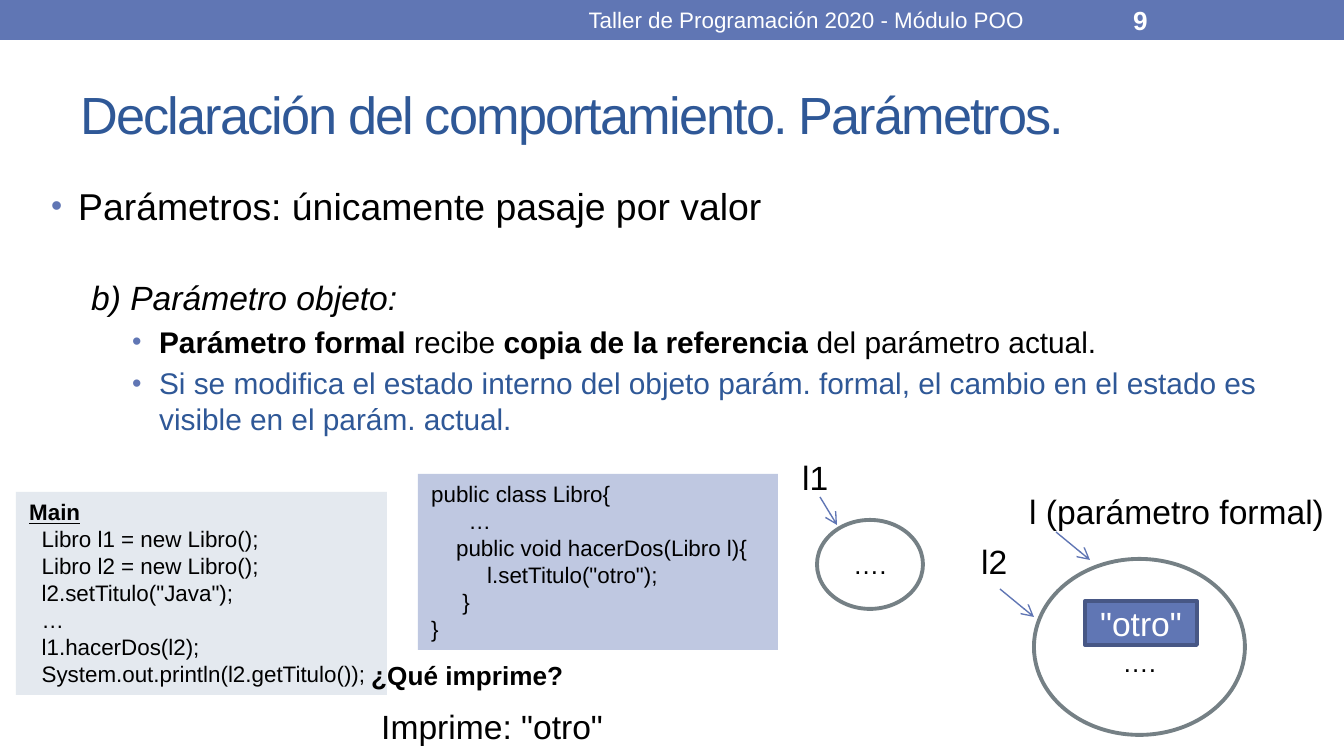
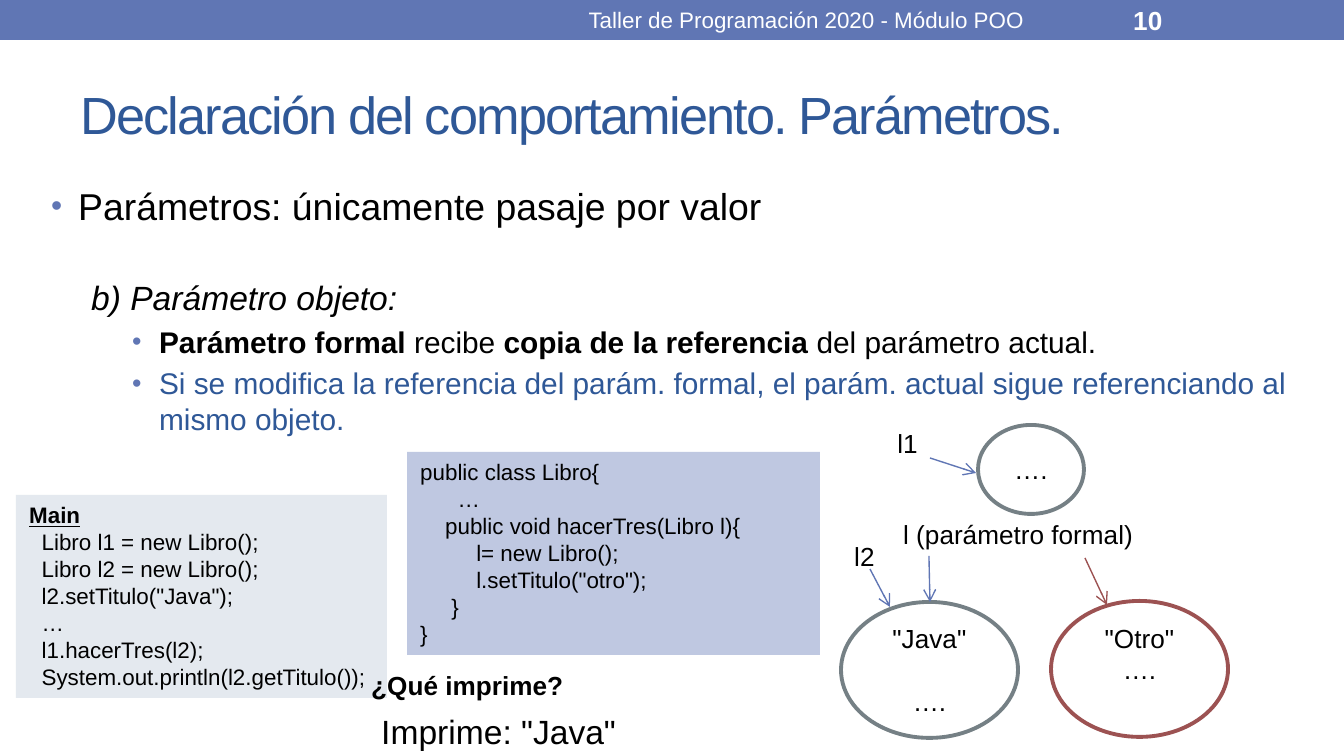
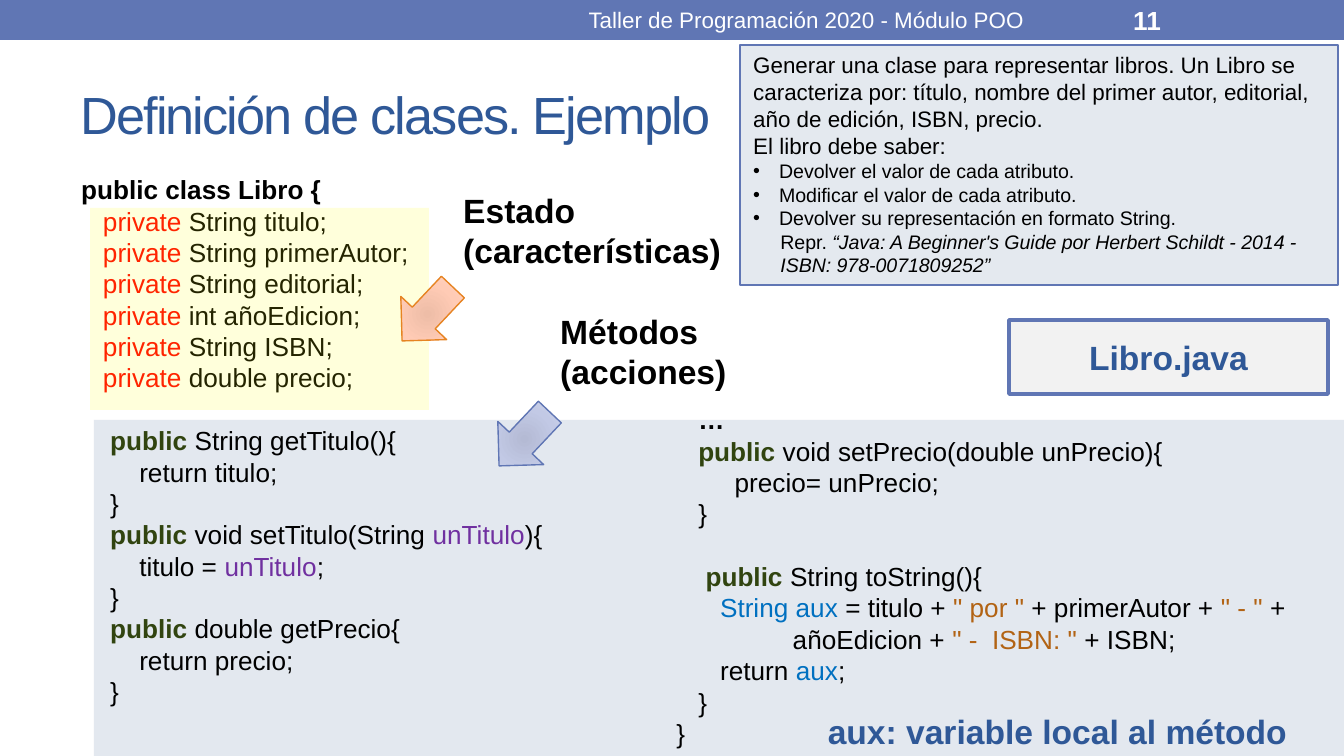
from dataclasses import dataclass
from lxml.etree import SubElement
from pptx import Presentation
from pptx.dml.color import RGBColor
from pptx.enum.shapes import MSO_CONNECTOR, MSO_SHAPE
from pptx.enum.text import MSO_ANCHOR, MSO_AUTO_SIZE, PP_ALIGN
from pptx.oxml import parse_xml
from pptx.oxml.ns import nsdecls, qn
from pptx.util import Pt


@dataclass(frozen=True)
class Theme:
    font: str = "Arial"
    blue: str = "6076B4"
    navy: str = "2F5897"
    edge: str = "475785"
    black: str = "000000"
    white: str = "FFFFFF"
    pale: str = "E4E9EF"
    sky: str = "BFC8E1"
    steel: str = "9BADC4"
    gray: str = "758085"
    wine: str = "9C5252"
    light: str = "F2F2F2"
    yellow: str = "FFFF00"
    orange: str = "E68422"
    red: str = "FF0000"
    green: str = "314410"
    purple: str = "7030A0"
    aqua: str = "0070C0"
    brown: str = "B26314"
    title: float = 28
    lead: float = 20
    big: float = 18
    mid: float = 16
    text: float = 14
    small: float = 12
    note: float = 10.5
    thick: float = 2.08
    thin: float = 0.75


T = Theme()
SCALE = 914400 / 134.4
SPACE = 0.278
LINE = 1.2
ROW = 31
LEFT, MID = PP_ALIGN.LEFT, PP_ALIGN.CENTER


def px(num):
    return round(num * SCALE)


def par(*bits, **opts):
    return bits, opts


def code(rows):
    return [par(text, deep=deep) for deep, text in rows]


def main(call):
    rows = [(2, text) for text in (
        "Libro l1 = new Libro();", "Libro l2 = new Libro();",
        'l2.setTitulo("Java");', "…", f"l1.{call}(l2);",
        "System.out.println(l2.getTitulo());")]
    return [par(("Main", "bu"))] + code(rows)


def method(call, *body):
    return code([(0, "public class Libro{"), (6, "…"),
                 (4, f"public void {call}(Libro l){{"),
                 *((9, text) for text in body), (5, "}"), (0, "}")])


def points(last):
    item = dict(size=T.mid, left=108, hang=27, dot=90, gap=3.2)
    return [
        par("Parámetros: únicamente pasaje por valor",
            size=T.lead, left=27, hang=27, dot=85),
        par(("b) Parámetro objeto:", "i"), size=T.big, left=40, gap=26),
        par(("Parámetro formal ", "b"), "recibe ",
            ("copia de la referencia ", "b"), "del parámetro actual.", **item),
        par((last, "", T.navy), **item)]


FOOT = "Taller de Programación 2020 - Módulo POO"
DOTS = par("….")

TOPICS = [
    dict(
        page="9", width=1322,
        last="Si se modifica el estado interno del objeto parám. formal, "
             "el cambio en el estado es visible en el parám. actual.",
        main=((16, 492, 371, 203), main("hacerDos")),
        method=((418, 474, 360, 176),
                method("hacerDos", 'l.setTitulo("otro");')),
        rings=[((1034, 559, 211, 176), T.gray, [DOTS], ROW, 0),
               ((817, 520, 106, 89), T.gray, [DOTS], 0, 0)],
        tags=[((968, 534, 63, 54), "l2 "),
              ((1016, 484, 335, 54), "l (parámetro formal)"),
              ((789, 450, 63, 54), "l1 ")],
        size=T.big,
        lines=[(1000, 589, 1034, 617, T.blue),
               (1056, 532, 1090, 560, T.blue),
               (820, 497, 837, 525, T.blue)],
        value=((1085, 601, 112, 44), '"otro"'),
        ask=653, reply=(699, 'Imprime: "otro"')),
    dict(
        page="10", width=1306,
        last="Si se modifica la referencia del parám. formal, el parám. "
             "actual sigue referenciando al mismo objeto.",
        main=((16, 495, 371, 203), main("hacerTres")),
        method=((407, 452, 413, 203),
                method("hacerTres", "l= new Libro();", 'l.setTitulo("otro");')),
        rings=[((841, 602, 177, 136), T.gray,
                [par('"Java"'), par("….", gap=T.text * LINE)], 0, 0),
               ((1051, 601, 177, 136), T.wine, [par('"Otro"'), DOTS], 0, ROW),
               ((978, 425, 106, 89), T.gray, [DOTS], 0, 0)],
        tags=[((841, 534, 55, 46), "l2 "),
              ((890, 512, 258, 46), "l (parámetro formal)"),
              ((884, 421, 55, 46), "l1 ")],
        size=T.text,
        lines=[(870, 569, 890, 607, T.blue), (929, 556, 930, 602, T.blue),
               (1085, 558, 1107, 605, T.wine), (930, 458, 976, 473, T.blue)],
        value=None,
        ask=663, reply=(704, 'Imprime: "Java"')),
]

FIELDS = ["String titulo;", "String primerAutor;", "String editorial;",
          "int añoEdicion;", "String ISBN;", "double precio;"]
PUBLIC = ("public ", "b", T.green)
PARAM = ("unTitulo", "", T.purple)
CLOSE = par("}", deep=4)

STATE = [par(("public class Libro {", "b"))]
STATE += [par(("private ", "", T.red), text, deep=3) for text in FIELDS]
STATE += [
    par(PUBLIC, "String getTitulo(){", deep=4, gap=T.text * LINE),
    par("return titulo;", deep=8), CLOSE,
    par(PUBLIC, "void setTitulo(String ", PARAM, "){", deep=4),
    par("titulo = ", PARAM, ";", deep=8), CLOSE,
    par(PUBLIC, "double getPrecio{", deep=4),
    par("return precio;", deep=8), CLOSE]
MORE = [
    par(("…", "b"), deep=4),
    par(PUBLIC, "void setPrecio(double unPrecio){", deep=4),
    par("precio= unPrecio;", deep=9), CLOSE,
    par(PUBLIC, "String toString(){", deep=5, gap=T.text * LINE),
    par(("String aux", "", T.aqua), " = titulo + ", ('" por " ', "", T.brown),
        "+ primerAutor + ", ('" - " ', "", T.brown), "+", deep=7),
    par("añoEdicion + ", ('" -  ISBN: " ', "", T.brown), "+ ISBN;", deep=17),
    par("return ", ("aux", "", T.aqua), ";", deep=7), CLOSE,
    par("}", deep=1)]

TASK = [par("Generar una clase para representar libros. Un Libro se caracteriza "
            "por: título, nombre del primer autor, editorial, año de edición, "
            "ISBN, precio."),
        par("El libro debe saber:")]
TASK += [par(text, size=T.note, left=26, hang=26, dot=100, ink=T.black)
         for text in ("Devolver el valor de cada atributo.",
                      "Modificar el valor de cada atributo.",
                      "Devolver su representación en formato String.")]
TASK += [par("Repr. ", ("“Java: A Beginner's Guide por Herbert Schildt - 2014 -",
                        "i"), size=T.note, deep=5),
         par(("ISBN: 978-0071809252”", "i"), size=T.note, deep=5)]

CALLS = [((450, 183, 290, 95), "Estado (características)"),
         ((547, 304, 290, 95), "Métodos (acciones)")]
ARROWS = [((396, 277, 63, 74), T.orange, ("EEBDA7", "FFCBB5", "FFE2D7")),
          ((493, 402, 63, 74), T.blue, ("B4BAD4", "C2C9E5", "DDE1F1"))]


def write(frame, pars, size=T.text, hue=T.black, align=LEFT,
          anchor=MSO_ANCHOR.TOP, wrap=True):
    frame.word_wrap = wrap
    frame.vertical_anchor = anchor
    for spot, (bits, opts) in enumerate(pars):
        line = frame.paragraphs[0] if spot == 0 else frame.add_paragraph()
        line.alignment = align
        scale = opts.get("size", size)
        line.space_before = Pt(opts.get("gap", 0))
        left = opts.get("left", opts.get("deep", 0) * scale * SPACE * 134.4 / 72)
        prop = line._p.get_or_add_pPr()
        prop.set("marL", str(px(left)))
        prop.set("indent", str(-px(opts.get("hang", 0))))
        if "dot" in opts:
            ink = SubElement(prop, qn("a:buClr"))
            SubElement(ink, qn("a:srgbClr"), val=opts.get("ink", T.blue))
            SubElement(prop, qn("a:buSzPct"), val=str(opts["dot"] * 1000))
            SubElement(prop, qn("a:buFont"), typeface=T.font)
            SubElement(prop, qn("a:buChar"), char="•")
        for bit in bits:
            text, flags, tone = ((bit, "", hue) if isinstance(bit, str)
                                 else (*bit, hue)[:3])
            run = line.add_run()
            run.text = text
            font = run.font
            font.name, font.size = T.font, Pt(scale)
            font.bold, font.italic = "b" in flags, "i" in flags
            font.underline = "u" in flags
            font.color.rgb = RGBColor.from_string(tone)


def label(slide, box, pars, **style):
    item = slide.shapes.add_textbox(*map(px, box))
    write(item.text_frame, pars, **style)
    return item


def shape(slide, box, fill, line=None, width=T.thick, alpha=None,
          kind=MSO_SHAPE.RECTANGLE):
    item = slide.shapes.add_shape(kind, *map(px, box))
    item.shadow.inherit = False
    item.fill.solid()
    item.fill.fore_color.rgb = RGBColor.from_string(fill)
    if alpha:
        tone = item.element.spPr.find(qn("a:solidFill"))[0]
        SubElement(tone, qn("a:alpha"), val=str(alpha * 1000))
    if line:
        item.line.color.rgb = RGBColor.from_string(line)
        item.line.width = Pt(width)
    else:
        item.line.fill.background()
    return item


def arrow(slide, ends, hue):
    item = slide.shapes.add_connector(MSO_CONNECTOR.STRAIGHT, *map(px, ends))
    item.line.color.rgb = RGBColor.from_string(hue)
    item.line.width = Pt(T.thin)
    prop = item.element.spPr
    SubElement(prop.find(qn("a:ln")), qn("a:tailEnd"), type="arrow")
    SubElement(prop, qn("a:effectLst"))


def glow(item, tones):
    stops = "".join(f'<a:gs pos="{pos}"><a:srgbClr val="{tone}"/></a:gs>'
                    for pos, tone in zip((0, 45000, 100000), tones))
    sides = " ".join(f'{side}="100000"' for side in "ltrb")
    grad = parse_xml(f'<a:gradFill {nsdecls("a")}><a:gsLst>{stops}</a:gsLst>'
                     f'<a:path path="circle"><a:fillToRect {sides}/></a:path>'
                     '</a:gradFill>')
    prop = item.element.spPr
    prop.replace(prop.find(qn("a:solidFill")), grad)


def start(text, page):
    slide = deck.slides.add_slide(layout)
    title = slide.shapes.title
    title.left, title.top, title.width, title.height = map(px, (67, 59, 1210, 109))
    write(title.text_frame, [par(text)], size=T.title, hue=T.navy,
          anchor=MSO_ANCHOR.MIDDLE)
    title.text_frame.auto_size = MSO_AUTO_SIZE.NONE
    for prop in title.element.iter(qn("a:rPr")):
        prop.set("spc", "-100")
    label(slide, (504, 2, 605, 36), [par(FOOT)], size=T.small, hue=T.white,
          align=MID, anchor=MSO_ANCHOR.MIDDLE)
    label(slide, (1120, 2, 157, 36), [par((page, "b"))], hue=T.white,
          anchor=MSO_ANCHOR.MIDDLE)
    return slide


def topic(data):
    slide = start("Declaración del comportamiento. Parámetros.", data["page"])
    label(slide, (38, 177, data["width"], 538), points(data["last"]))
    for key, fill in (("main", T.pale), ("method", T.sky)):
        box, pars = data[key]
        write(shape(slide, box, fill).text_frame, pars, size=T.small)
    for box, line, pars, top, low in data["rings"]:
        frame = shape(slide, box, T.white, line, kind=MSO_SHAPE.OVAL).text_frame
        frame.margin_top, frame.margin_bottom = px(top), px(low)
        write(frame, pars, align=MID, anchor=MSO_ANCHOR.MIDDLE)
    for box, text in data["tags"]:
        tag = label(slide, box, [par(text)], size=data["size"], wrap=False)
        tag.text_frame.auto_size = MSO_AUTO_SIZE.SHAPE_TO_FIT_TEXT
    for *ends, hue in data["lines"]:
        arrow(slide, ends, hue)
    if data["value"]:
        box, text = data["value"]
        write(shape(slide, box, T.blue, T.edge).text_frame, [par(text)],
              size=T.big, hue=T.white, align=MID, anchor=MSO_ANCHOR.MIDDLE)
    label(slide, (358, data["ask"], 232, 46), [par(("¿Qué imprime?", "b"))])
    top, text = data["reply"]
    label(slide, (368, top, 262, 54), [par(text)], size=T.big)


def sample():
    slide = start("Definición de clases. Ejemplo", "11")
    shape(slide, (94, 420, 1250, 336), T.steel, alpha=27)
    label(slide, (68, 167, 672, 552), STATE)
    label(slide, (656, 397, 673, 363), MORE)
    task = shape(slide, (740, 45, 598, 240), T.pale, T.blue, T.thin)
    write(task.text_frame, TASK, size=T.small)
    name = shape(slide, (1009, 320, 319, 74), T.light, T.blue)
    write(name.text_frame, [par(("Libro.java", "b"))], size=T.big, hue=T.navy,
          align=MID, anchor=MSO_ANCHOR.MIDDLE)
    shape(slide, (90, 208, 339, 202), T.yellow, alpha=14)
    for box, line, tones in ARROWS:
        item = shape(slide, box, tones[1], line, T.thin, kind=MSO_SHAPE.DOWN_ARROW)
        item.rotation = 43.3
        glow(item, tones)
    for box, text in CALLS:
        label(slide, box, [par((text, "b"))], size=T.big)
    label(slide, (798, 704, 519, 54), [par(("aux: variable local al método", "b"))],
          size=T.big, hue=T.navy, align=MID)


deck = Presentation()
deck.slide_width, deck.slide_height = px(1344), px(756)
layout = deck.slide_layouts[5]
for data in TOPICS:
    topic(data)
sample()
band = shape(deck.slides[0], (0, 0, 1344, 40), T.blue)
band.element.nvSpPr.cNvPr.set("id", "90")
layout.shapes.element.insert(2, band.element)
deck.save("out.pptx")
